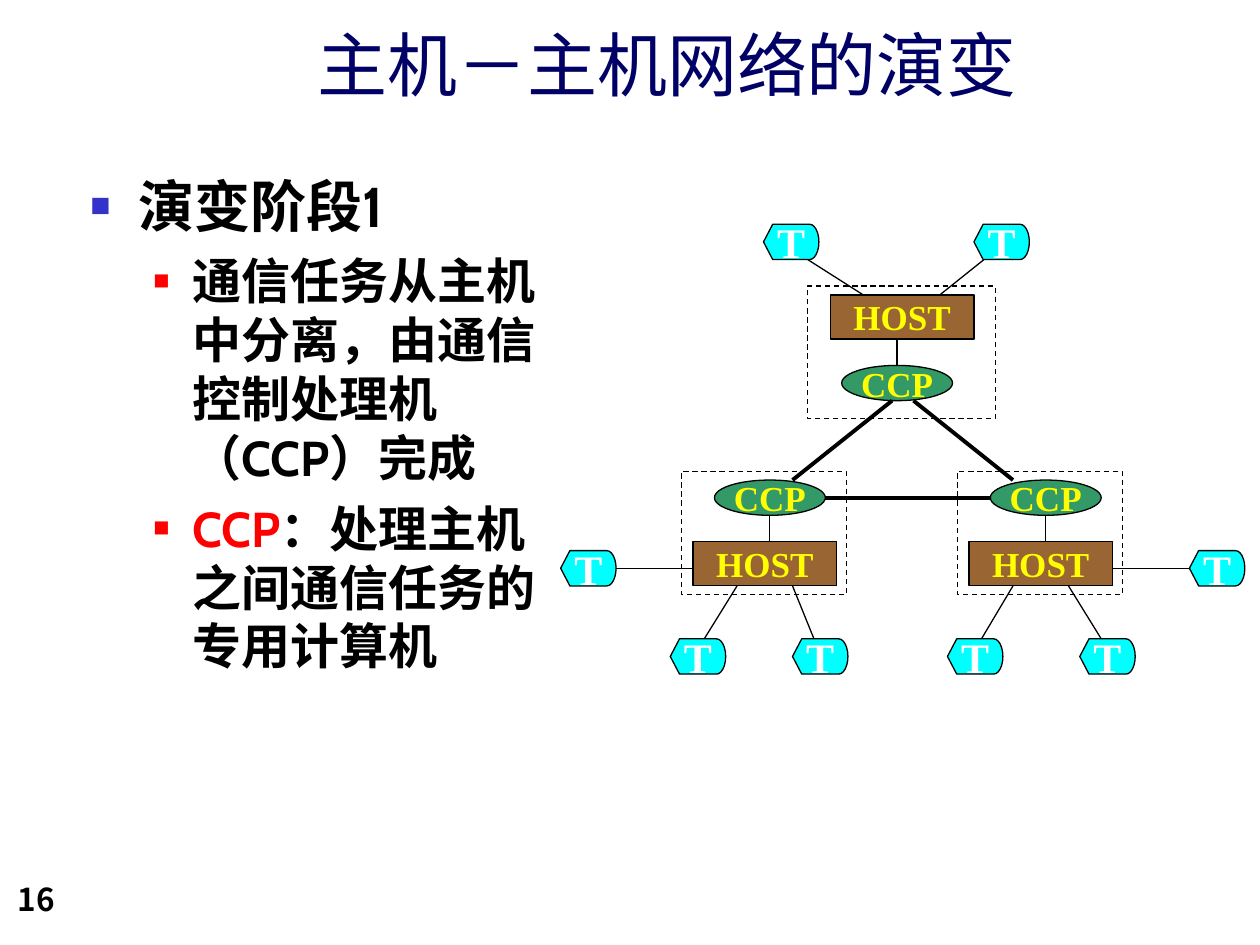
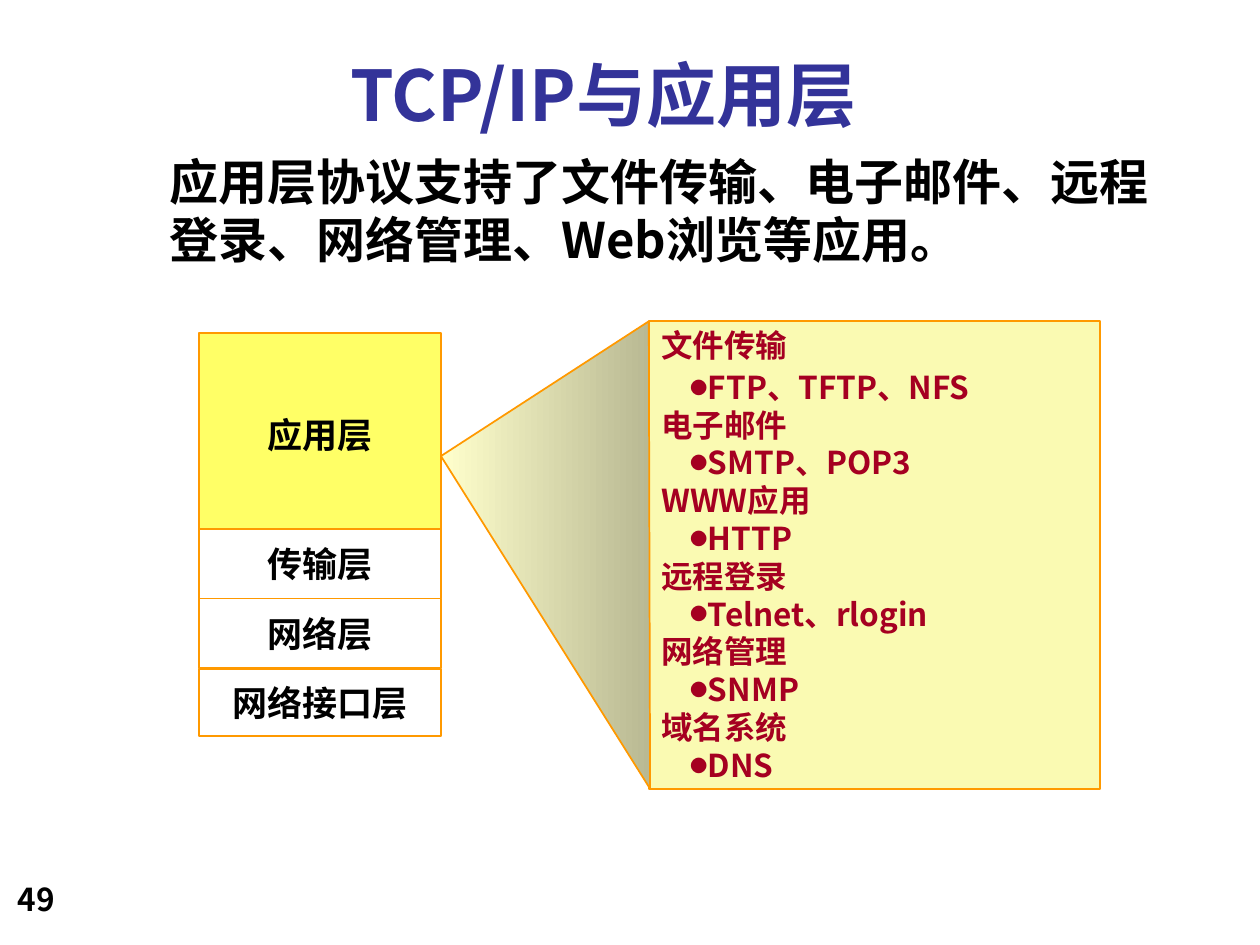
from typing import NamedTuple

from lxml import etree
from pptx import Presentation
from pptx.dml.color import RGBColor
from pptx.enum.dml import MSO_LINE
from pptx.enum.shapes import MSO_CONNECTOR, MSO_SHAPE
from pptx.enum.text import MSO_ANCHOR, PP_ALIGN
from pptx.oxml.ns import qn
from pptx.util import Inches, Pt

SANS, TITLE_FONT, LAYER_FONT, SERIF = "Noto Sans CJK SC", "Cabin", "Roboto", "Times New Roman"
BLACK, WHITE, RED, YELLOW = "000000", "FFFFFF", "FF0000", "FFFF00"
NAVY, INDIGO, BLUE, WINE = "000066", "333399", "3333CC", "A50021"
BROWN, GREEN, CYAN = "996633", "339966", "00FFFF"
ORANGE, CREAM, LEMON, PALE, OLIVE = "FF9900", "FAFAB2", "FFFF66", "FFFFCC", "B9B993"

# Connection sites of a rectangle-like shape
TOP, LEFT, RIGHT = 0, 1, 3

# Width and height of the network nodes
HOST_SIZE = (1.14, 0.35)
CCP_SIZE = (0.88, 0.28)
TERMINAL_SIZE = (0.44, 0.28)
THIN, TRUNK = 0.75, 2.25


class Site(NamedTuple):
    """A lower host site: places are left edges, outer_side is where the outer link lands."""
    frame: float
    outer_terminal: float
    outer_side: int
    lower_terminals: tuple


LEFT_SITE = Site(5.41, 4.45, RIGHT, (5.32, 6.29))
RIGHT_SITE = Site(7.6, 9.44, LEFT, (7.52, 8.57))

# Rows of the lower sites, and offsets from the left edge of a site's frame
SITE_TOP, CCP_TOP, HOST_TOP, OUTER_TOP, LOWER_TOP = 3.74, 3.81, 4.3, 4.37, 5.07
CCP_OFFSET, HOST_OFFSET = 0.26, 0.09
NEAR_PORT, FAR_PORT = 0.44, 0.88


def color(value):
    return RGBColor.from_string(value)


def add_bullet(para, char, tint, percent, font, margin, indent):
    properties = para._p.get_or_add_pPr()
    properties.set("marL", str(Inches(margin)))
    properties.set("indent", str(Inches(indent)))
    tint_element = etree.SubElement(properties, qn("a:buClr"))
    etree.SubElement(tint_element, qn("a:srgbClr"), val=tint)
    etree.SubElement(properties, qn("a:buSzPct"), val=str(percent * 1000))
    etree.SubElement(properties, qn("a:buFont"), typeface=font)
    etree.SubElement(properties, qn("a:buChar"), char=char)


def write(para, text, size=18, font=SANS, tint=BLACK, bold=True, align=PP_ALIGN.LEFT):
    """Append a formatted run to the paragraph."""
    para.alignment = align
    span = para.add_run()
    span.text = text
    span.font.size = Pt(size)
    span.font.bold = bold
    span.font.name = font
    span.font.color.rgb = color(tint)
    etree.SubElement(span._r.get_or_add_rPr(), qn("a:ea"), typeface=SANS)


class Builder:
    def __init__(self):
        self.deck = Presentation()
        self.deck.slide_width, self.deck.slide_height = Inches(10), Inches(7.5)
        self.page = None

    def start_page(self, number, title, place, anchor, **style):
        """Add a slide with its title and page number."""
        self.page = self.deck.slides.add_slide(self.deck.slide_layouts[5])
        box = self.page.shapes.title
        box.left, box.top, box.width, box.height = map(Inches, place)
        box.text_frame.word_wrap = True
        box.text_frame.vertical_anchor = anchor
        write(box.text_frame.paragraphs[0], title, size=40, **style)
        footer = self.text_box(0.04, 6.83, 2.08, 0.5)
        footer.vertical_anchor = MSO_ANCHOR.BOTTOM
        write(footer.paragraphs[0], str(number))

    def text_box(self, *place):
        frame = self.page.shapes.add_textbox(*map(Inches, place)).text_frame
        frame.word_wrap = True
        return frame

    def shape(self, kind, place, fill=None, line=BLACK, width=THIN, text="", **style):
        shape = self.page.shapes.add_shape(kind, *map(Inches, place))
        self.paint(shape, fill, line, width)
        frame = shape.text_frame
        frame.vertical_anchor = MSO_ANCHOR.MIDDLE
        frame.word_wrap = False
        if text:
            write(frame.paragraphs[0], text, align=PP_ALIGN.CENTER, **style)
        return shape

    def paint(self, shape, fill, line, width):
        shape.shadow.inherit = False
        if fill:
            shape.fill.solid()
            shape.fill.fore_color.rgb = color(fill)
        else:
            shape.fill.background()
        shape.line.color.rgb = color(line)
        shape.line.width = Pt(width)

    def link(self, start, end, width=THIN, join=None):
        """Draw a line; join is the shape and connection site where it ends."""
        line = self.page.shapes.add_connector(
            MSO_CONNECTOR.STRAIGHT, *map(Inches, start + end))
        line.line.color.rgb = color(BLACK)
        line.line.width = Pt(width)
        etree.SubElement(line._element.spPr, qn("a:effectLst"))
        if join:
            line.end_connect(*join)

    def wedge(self, points, *tints):
        """Draw a closed outline shaded from left to right."""
        first, *others = [(Inches(x), Inches(y)) for x, y in points]
        path = self.page.shapes.build_freeform(*first)
        path.add_line_segments(others, close=True)
        shape = path.convert_to_shape()
        self.paint(shape, None, ORANGE, 1)
        shape.fill.gradient()
        shape.fill.gradient_angle = 0
        for stop, tint in zip(shape.fill.gradient_stops, tints):
            stop.color.rgb = color(tint)

    def dashed_frame(self, *place):
        self.shape(MSO_SHAPE.RECTANGLE, place).line.dash_style = MSO_LINE.DASH

    def host(self, left, top):
        return self.shape(MSO_SHAPE.RECTANGLE, (left, top, *HOST_SIZE), BROWN,
                          text="HOST", size=20, font=SERIF, tint=YELLOW)

    def processor(self, left, top):
        return self.shape(MSO_SHAPE.OVAL, (left, top, *CCP_SIZE), GREEN,
                          text="CCP", size=20, font=SERIF, tint=YELLOW)

    def terminal(self, left, top):
        return self.shape(MSO_SHAPE.FLOWCHART_DISPLAY, (left, top, *TERMINAL_SIZE), CYAN,
                          text="T", size=24, font=SERIF, tint=WHITE)


def add_upper_site(builder):
    host_top, processor_left, processor_top, terminal_top = 2.34, 6.68, 2.9, 1.78
    builder.dashed_frame(6.41, 2.27, 1.49, 1.05)
    builder.host(6.59, host_top)
    processor = builder.processor(processor_left, processor_top)
    center = processor_left + CCP_SIZE[0] / 2
    builder.link((center, host_top + HOST_SIZE[1]), (center, processor_top),
                 join=(processor, TOP))
    for left, offset, host_port in ((6.06, 0.35, 6.85), (7.73, 0.08, 7.46)):
        builder.terminal(left, terminal_top)
        builder.link((left + offset, terminal_top + TERMINAL_SIZE[1]), (host_port, host_top))


def add_lower_site(builder, site):
    host_left = site.frame + HOST_OFFSET
    host_bottom = HOST_TOP + HOST_SIZE[1]
    builder.dashed_frame(site.frame, SITE_TOP, 1.31, 0.98)
    builder.host(host_left, HOST_TOP)
    builder.processor(site.frame + CCP_OFFSET, CCP_TOP)
    center = site.frame + CCP_OFFSET + CCP_SIZE[0] / 2
    builder.link((center, HOST_TOP), (center, CCP_TOP + CCP_SIZE[1]))

    outer = builder.terminal(site.outer_terminal, OUTER_TOP)
    middle = OUTER_TOP + TERMINAL_SIZE[1] / 2
    if site.outer_side == RIGHT:
        start, end = host_left, site.outer_terminal + TERMINAL_SIZE[0]
    else:
        start, end = host_left + HOST_SIZE[0], site.outer_terminal
    builder.link((start, middle), (end, middle), join=(outer, site.outer_side))

    ports = ((NEAR_PORT, 0.27), (FAR_PORT, 0.17))
    for left, (host_port, offset) in zip(site.lower_terminals, ports):
        builder.terminal(left, LOWER_TOP)
        builder.link((site.frame + host_port, host_bottom), (left + offset, LOWER_TOP))


def add_trunks(builder):
    upper_bottom = 3.18
    lower_middle = CCP_TOP + CCP_SIZE[1] / 2
    left_processor = LEFT_SITE.frame + CCP_OFFSET
    right_processor = RIGHT_SITE.frame + CCP_OFFSET
    trunks = (
        ((7.08, upper_bottom), (LEFT_SITE.frame + FAR_PORT, CCP_TOP)),
        ((7.25, upper_bottom), (RIGHT_SITE.frame + NEAR_PORT, CCP_TOP)),
        ((left_processor + CCP_SIZE[0], lower_middle), (right_processor, lower_middle)),
    )
    for start, end in trunks:
        builder.link(start, end, width=TRUNK)


def evolution_page(builder):
    builder.start_page(16, "主机－主机网络的演变", (1.38, 0.21, 7.83, 0.68), MSO_ANCHOR.BOTTOM,
                       font=TITLE_FONT, tint=NAVY, bold=False, align=PP_ALIGN.CENTER)
    frame = builder.text_box(0.62, 1.31, 4, 4.17)
    heading = frame.paragraphs[0]
    add_bullet(heading, "■", BLUE, 60, SERIF, 0.38, -0.38)
    write(heading, "演变阶段1", size=32, font=TITLE_FONT)
    points = (
        (("通信任务从主机中分离，由通信控制处理机（CCP）完成", BLACK),),
        (("CCP", RED), ("：处理主机之间通信任务的专用计算机", BLACK)),
    )
    for spans in points:
        para = frame.add_paragraph()
        para.level = 1
        para.space_before = Pt(7)
        add_bullet(para, "■", RED, 55, SERIF, 0.81, -0.31)
        for text, tint in spans:
            write(para, text, size=28, font=TITLE_FONT, tint=tint)

    add_upper_site(builder)
    for site in (LEFT_SITE, RIGHT_SITE):
        add_lower_site(builder, site)
    add_trunks(builder)


def add_service_panel(builder, place):
    services = {
        "文件传输": "FTP、TFTP、NFS", "电子邮件": "SMTP、POP3", "WWW应用": "HTTP",
        "远程登录": "Telnet、rlogin", "网络管理": "SNMP", "域名系统": "DNS",
    }
    frame = builder.shape(MSO_SHAPE.RECTANGLE, place, CREAM, ORANGE, 1).text_frame
    frame.word_wrap = True
    for index, (service, protocols) in enumerate(services.items()):
        heading = frame.add_paragraph() if index else frame.paragraphs[0]
        write(heading, service, tint=WINE)
        detail = frame.add_paragraph()
        add_bullet(detail, "●", WINE, 55, SANS, 0.37, -0.14)
        detail.space_before = Pt(0 if index else 2)
        write(detail, protocols, tint=WINE)


def application_page(builder):
    builder.start_page(49, "TCP/IP与应用层", (2.68, 0.36, 4.76, 0.77), MSO_ANCHOR.TOP, tint=INDIGO)
    intro = builder.text_box(1.25, 1.15, 8.25, 1.04)
    write(intro.paragraphs[0],
          "应用层协议支持了文件传输、电子邮件、远程登录、网络管理、Web浏览等应用。", size=28)

    panel_left, panel_top, panel_height = 5.15, 2.55, 3.71
    stack_left, stack_width = 1.58, 1.92
    add_service_panel(builder, (panel_left, panel_top, 3.58, panel_height))
    builder.wedge(((stack_left + stack_width, 3.62), (panel_left, panel_top),
                   (panel_left + 0.01, panel_top + panel_height)), PALE, OLIVE)

    layers = (("应用层", 2.64, 1.62, LEMON), ("传输层", 4.2, 0.55, WHITE),
              ("网络层", 4.75, 0.55, WHITE), ("网络接口层", 5.31, 0.53, WHITE))
    for name, top, height, fill in layers:
        builder.shape(MSO_SHAPE.RECTANGLE, (stack_left, top, stack_width, height),
                      fill, ORANGE, 1, text=name, size=20, font=LAYER_FONT)


def main():
    builder = Builder()
    evolution_page(builder)
    application_page(builder)
    builder.deck.save("out.pptx")


if __name__ == "__main__":
    main()
